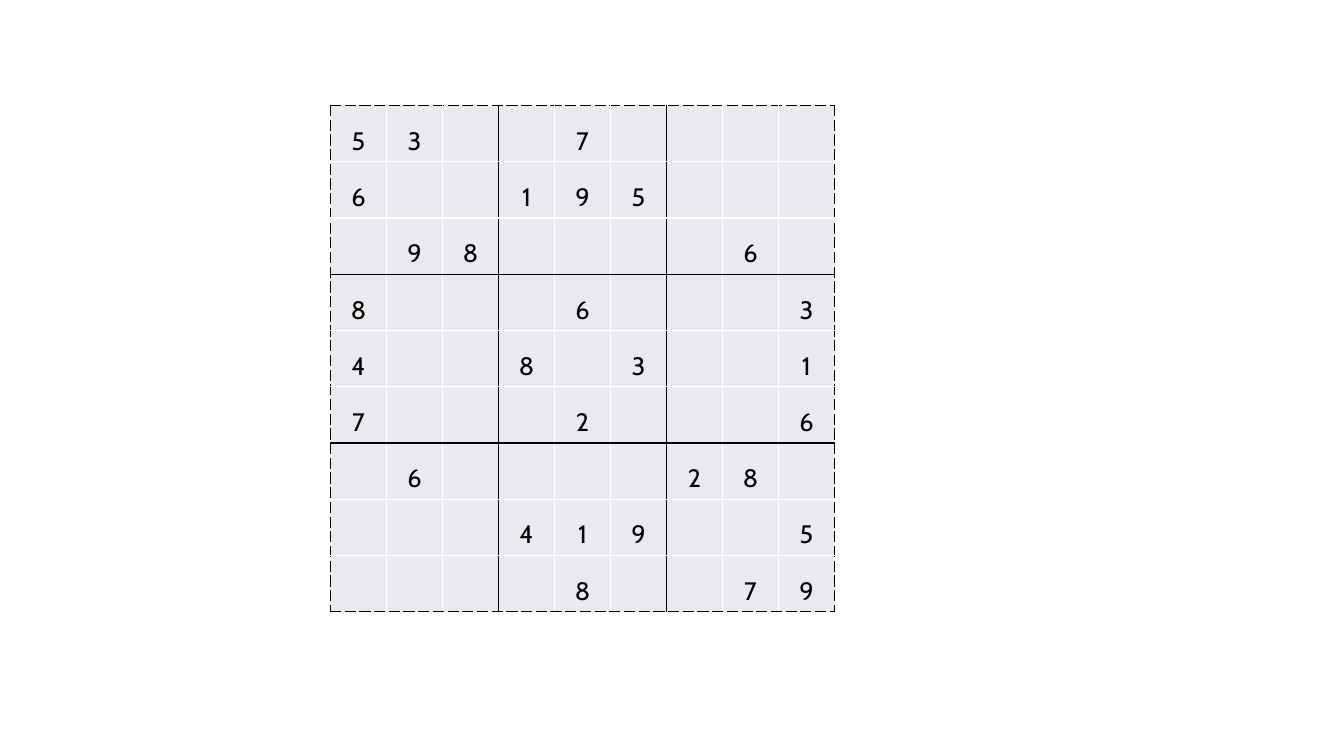
import pptx
import pptx.dml.color
import pptx.enum.text
import pptx.oxml.ns
import pptx.util
from lxml import etree

Cm = pptx.util.Cm
Pt = pptx.util.Pt
RGBColor = pptx.dml.color.RGBColor
qn = pptx.oxml.ns.qn

BLACK = RGBColor(0x00, 0x00, 0x00)
WHITE = RGBColor(0xFF, 0xFF, 0xFF)
CELL_GREY = RGBColor(0xE8, 0xEA, 0xED)

SIZE = 9
BLOCK = 3
PUZZLE = [
    "53..7....",
    "6..195...",
    ".98....6.",
    "8...6...3",
    "4..8.3..1",
    "7...2...6",
    ".6....28.",
    "...419..5",
    "....8..79",
]


def add_border(cell, side, position):
    color = BLACK if position % BLOCK == 0 else WHITE
    dash = "sysDash" if position in (0, SIZE) else "solid"
    properties = cell._tc.get_or_add_tcPr()
    line = etree.SubElement(properties, qn("a:" + side), w=str(Pt(1)))
    fill = etree.SubElement(line, qn("a:solidFill"))
    etree.SubElement(fill, qn("a:srgbClr"), val=str(color))
    etree.SubElement(line, qn("a:prstDash"), val=dash)


deck = pptx.Presentation()
deck.slide_width = Cm(33.87)
deck.slide_height = Cm(19.05)
page = deck.slides.add_slide(deck.slide_layouts[6])

frame = page.shapes.add_table(SIZE, SIZE, Cm(8.33), Cm(2.66), Cm(12.7), Cm(12.7))
grid = frame.table
grid.first_row = False
grid.horz_banding = False

for row, digits in enumerate(PUZZLE):
    for column, digit in enumerate(digits):
        cell = grid.cell(row, column)
        add_border(cell, "lnL", column)
        add_border(cell, "lnR", column + 1)
        add_border(cell, "lnT", row)
        add_border(cell, "lnB", row + 1)
        cell.fill.solid()
        cell.fill.fore_color.rgb = CELL_GREY
        if digit != ".":
            para = cell.text_frame.paragraphs[0]
            para.alignment = pptx.enum.text.PP_ALIGN.CENTER
            para.line_spacing = 1.5
            span = para.add_run()
            span.text = digit
            span.font.name = "Cabin"
            span.font.size = Pt(18)
            span.font.color.rgb = BLACK

deck.save("out.pptx")
